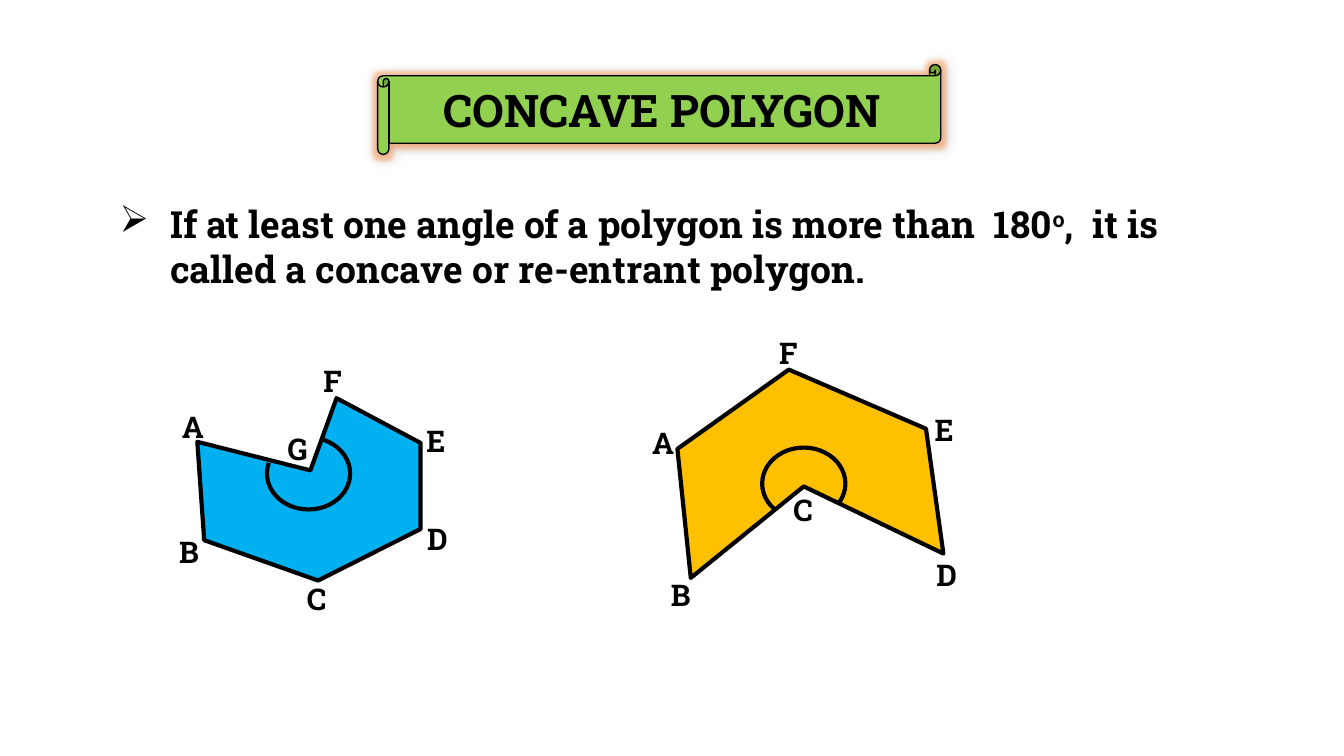
from dataclasses import dataclass

from lxml.etree import SubElement
from pptx import Presentation
from pptx.dml.color import RGBColor
from pptx.enum.shapes import MSO_SHAPE
from pptx.enum.text import MSO_ANCHOR, PP_ALIGN
from pptx.oxml import parse_xml
from pptx.oxml.ns import nsdecls, qn
from pptx.util import Pt

BLACK = RGBColor(0x00, 0x00, 0x00)
GREEN = RGBColor(0x92, 0xD0, 0x50)
BLUE = RGBColor(0x00, 0xB0, 0xF0)
AMBER = RGBColor(0xFF, 0xC0, 0x00)
OUTLINE = 2.25
LABEL_WIDTH, LABEL_HEIGHT = 31, 26.6
ARC_WIDTH, ARC_HEIGHT = 44.6, 38.6
ADJUSTMENT_PER_DEGREE = 0.6


@dataclass(frozen=True)
class Vertex:
    name: str
    x: float
    y: float
    label_x: float
    label_y: float


@dataclass(frozen=True)
class AngleArc:
    """Clockwise arc, with angles in degrees from the right."""
    center_x: float
    center_y: float
    start: float
    end: float


@dataclass(frozen=True)
class Polygon:
    color: RGBColor
    vertices: tuple[Vertex, ...]
    arc: AngleArc


POLYGONS = (
    Polygon(BLUE, (
        Vertex("A", 105.7, 236.7, 103.3, 228.6),
        Vertex("B", 109.4, 289.4, 101.2, 295.6),
        Vertex("C", 170.4, 311, 169.6, 320.8),
        Vertex("D", 225.3, 283.4, 234.4, 288.4),
        Vertex("E", 225.3, 237.3, 233.6, 235.8),
        Vertex("F", 180.3, 213.3, 178.2, 204.1),
        Vertex("G", 166.3, 252, 159.5, 240.1),
    ), AngleArc(165.3, 253.7, 293, 195)),
    Polygon(AMBER, (
        Vertex("A", 362.9, 240.5, 355.3, 237.2),
        Vertex("B", 370.1, 309.6, 364.7, 318.6),
        Vertex("C", 430.6, 260.6, 430.2, 273.2),
        Vertex("D", 505.4, 296.6, 507.2, 307.8),
        Vertex("E", 496.1, 229.7, 505.8, 230),
        Vertex("F", 422.6, 198, 422.3, 189),
    ), AngleArc(430.6, 259.1, 139, 28)),
)


def add_span(para, text: str, size: float):
    span = para.add_run()
    span.text = text
    style = {"name": "Roboto Slab", "size": Pt(size), "bold": True}
    for attribute, value in style.items():
        setattr(span.font, attribute, value)
    span.font.color.rgb = BLACK
    return span


def prepare_text(box, alignment: PP_ALIGN):
    """Wrap and centre the text vertically; return the first paragraph."""
    frame_format = {"word_wrap": True, "vertical_anchor": MSO_ANCHOR.MIDDLE}
    for attribute, value in frame_format.items():
        setattr(box.text_frame, attribute, value)
    para = box.text_frame.paragraphs[0]
    para.alignment = alignment
    return para


def set_outline(shape, width: float) -> None:
    shape.shadow.inherit = False
    shape.line.color.rgb = BLACK
    shape.line.width = Pt(width)
    SubElement(shape.line._get_or_add_ln(), qn("a:round"))


def add_title(page) -> None:
    scroll = page.shapes.add_shape(
        MSO_SHAPE.HORIZONTAL_SCROLL, Pt(202.3), Pt(34.6), Pt(301.7), Pt(48.2))
    set_outline(scroll, 0.75)
    scroll.fill.solid()
    scroll.fill.fore_color.rgb = GREEN
    effects = scroll._element.spPr.find(qn("a:effectLst"))
    effects.append(parse_xml(
        f'<a:glow {nsdecls("a")} rad="{Pt(5)}"><a:srgbClr val="ED7D31">'
        '<a:satMod val="175000"/><a:alpha val="40000"/></a:srgbClr></a:glow>'))
    effects.append(parse_xml(
        f'<a:outerShdw {nsdecls("a")} blurRad="{Pt(6)}" dist="{Pt(1)}" '
        'dir="2700000" algn="tl" rotWithShape="0"><a:srgbClr val="000000">'
        '<a:alpha val="20000"/></a:srgbClr></a:outerShdw>'))
    add_span(prepare_text(scroll, PP_ALIGN.CENTER), "CONCAVE POLYGON", 24)


def add_definition(page) -> None:
    box = page.shapes.add_shape(
        MSO_SHAPE.ROUNDED_RECTANGLE, Pt(54), Pt(100.8), Pt(617.8), Pt(61.9))
    box.shadow.inherit = False
    box.fill.background()
    box.line.fill.background()
    para = prepare_text(box, PP_ALIGN.LEFT)
    properties = para._p.get_or_add_pPr()
    for attribute, indent in {"marL": 27, "indent": -27}.items():
        properties.set(attribute, str(Pt(indent)))
    SubElement(properties, qn("a:buChar")).set("char", "➢")
    add_span(para, "If at least one angle of a polygon is more than  180", 20)
    degree = add_span(para, "o", 20)
    degree.font._element.set("baseline", "30000")
    add_span(para, ",  it is called a concave or re-entrant polygon.", 20)


def add_polygon(page, polygon: Polygon) -> None:
    group = page.shapes.add_group_shape()
    points = [(Pt(vertex.x), Pt(vertex.y)) for vertex in polygon.vertices]
    builder = group.shapes.build_freeform(*points[0])
    builder.add_line_segments(points[1:], close=True)
    outline = builder.convert_to_shape()
    set_outline(outline, OUTLINE)
    outline.fill.solid()
    outline.fill.fore_color.rgb = polygon.color
    for vertex in polygon.vertices:
        label = group.shapes.add_textbox(
            Pt(vertex.label_x - LABEL_WIDTH / 2),
            Pt(vertex.label_y - LABEL_HEIGHT / 2),
            Pt(LABEL_WIDTH), Pt(LABEL_HEIGHT))
        add_span(prepare_text(label, PP_ALIGN.CENTER), vertex.name, 16)


def add_angle_arc(page, arc: AngleArc) -> None:
    curve = page.shapes.add_shape(
        MSO_SHAPE.ARC, Pt(arc.center_x - ARC_WIDTH / 2),
        Pt(arc.center_y - ARC_HEIGHT / 2), Pt(ARC_WIDTH), Pt(ARC_HEIGHT))
    for index, angle in enumerate((arc.start, arc.end)):
        curve.adjustments[index] = angle * ADJUSTMENT_PER_DEGREE
    curve.fill.background()
    set_outline(curve, OUTLINE)


def main() -> None:
    deck = Presentation()
    deck.slide_width, deck.slide_height = Pt(720), Pt(405)
    page = deck.slides.add_slide(deck.slide_layouts[6])
    add_definition(page)
    for polygon in POLYGONS:
        add_polygon(page, polygon)
        add_angle_arc(page, polygon.arc)
    add_title(page)
    deck.save("out.pptx")


if __name__ == "__main__":
    main()
